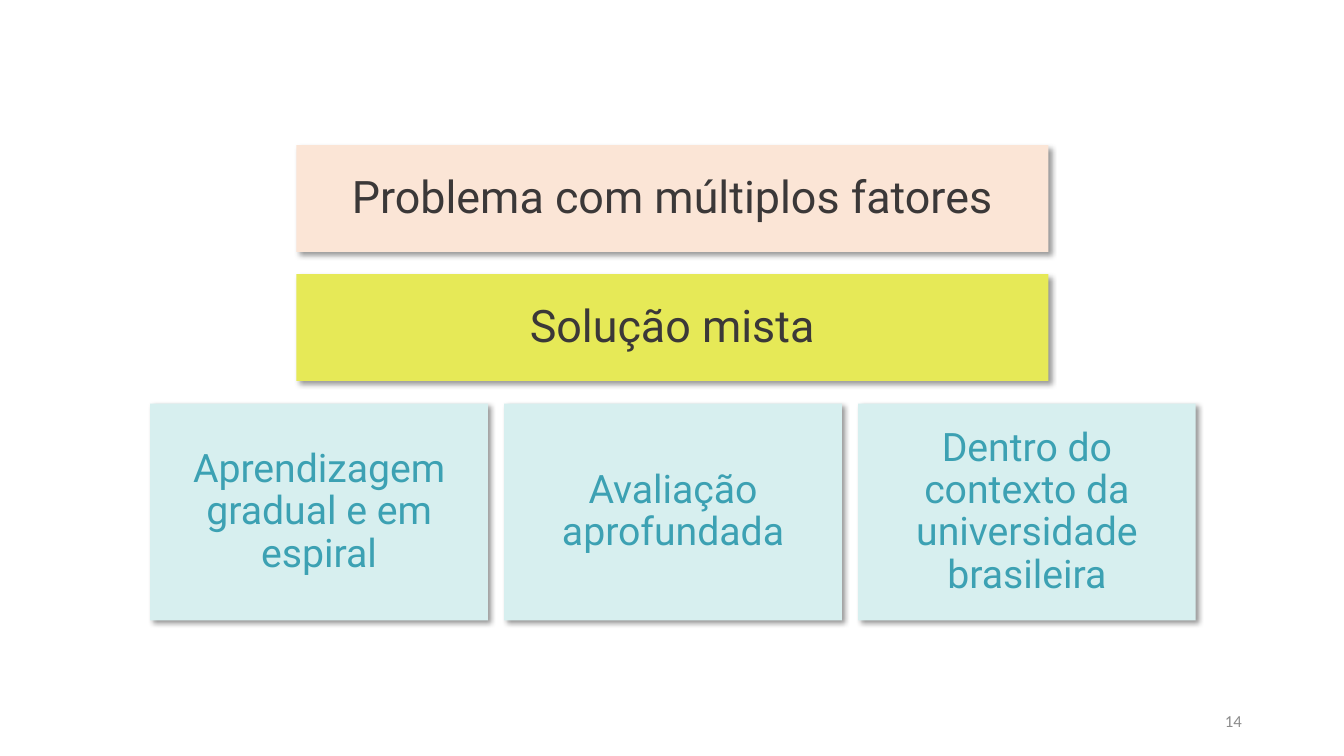
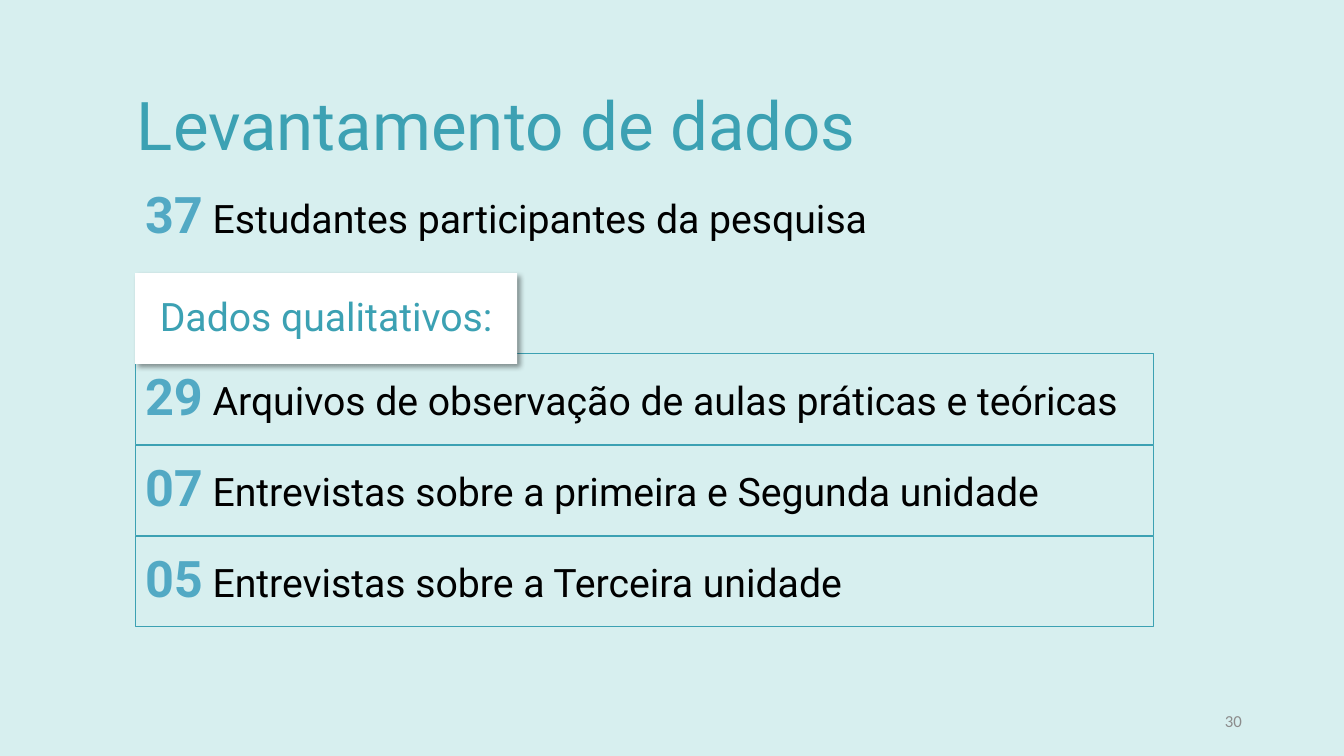
import pptx
import pptx.util
import pptx.dml.color
import pptx.enum.shapes
import pptx.enum.text
import pptx.oxml
import pptx.oxml.ns

TEAL = "3CA1B3"
BLUE = "52A9C4"
MINT = "D7EFEF"
PEACH = "FBE5D6"
LIME = "E6E957"
WHITE = "FFFFFF"
BLACK = "000000"
DARK = "3B3838"
GREY = "8C8C8C"
FONT = "Roboto"
NUMBER_FONT = "Calibri"

SLIDE_W = pptx.util.Inches(13.33)
SLIDE_H = pptx.util.Inches(7.5)
ALIGN = pptx.enum.text.PP_ALIGN

SHADOW = (
    f'<a:effectLst {pptx.oxml.ns.nsdecls("a")}>'
    '<a:outerShdw blurRad="50800" dist="38100" dir="2700000" algn="tl" rotWithShape="0">'
    f'<a:srgbClr val="{BLACK}"><a:alpha val="40000"/></a:srgbClr>'
    '</a:outerShdw></a:effectLst>'
)


def rgb(color):
    return pptx.dml.color.RGBColor.from_string(color)


def place(left, top, width, height):
    """Turn percentages of the slide into lengths."""
    return (int(SLIDE_W * left / 100), int(SLIDE_H * top / 100),
            int(SLIDE_W * width / 100), int(SLIDE_H * height / 100))


def add_slide(prs, background, number):
    s = prs.slides.add_slide(prs.slide_layouts[6])
    s.background.fill.solid()
    s.background.fill.fore_color.rgb = rgb(background)
    add_text(s, (70.65, 92.67, 22.5, 5.33), number, 12, GREY,
             ALIGN.RIGHT, NUMBER_FONT, 1)
    return s


def style_run(r, size, color, font=FONT, bold=False):
    r.font.name = font
    r.font.size = pptx.util.Pt(size)
    r.font.color.rgb = rgb(color)
    r.font.bold = bold


def start_paragraph(sp, align, spacing=0.9):
    tf = sp.text_frame
    tf.word_wrap = True
    tf.vertical_anchor = pptx.enum.text.MSO_ANCHOR.MIDDLE
    p = tf.paragraphs[0]
    p.alignment = align
    p.line_spacing = spacing
    return p


def write(sp, text, size, color, align, font=FONT, spacing=0.9):
    p = start_paragraph(sp, align, spacing)
    p.text = text
    style_run(p.runs[0], size, color, font)


def add_text(s, box, text, size, color, align=ALIGN.LEFT, font=FONT, spacing=0.9):
    write(s.shapes.add_textbox(*place(*box)), text, size, color, align, font, spacing)


def add_rect(s, box):
    sp = s.shapes.add_shape(pptx.enum.shapes.MSO_SHAPE.RECTANGLE, *place(*box))
    sp.shadow.inherit = False
    return sp


def add_card(s, box, text, size, color, fill):
    sp = add_rect(s, box)
    sp.fill.solid()
    sp.fill.fore_color.rgb = rgb(fill)
    sp.line.fill.background()
    props = sp.element.spPr
    props.replace(props.find(pptx.oxml.ns.qn("a:effectLst")),
                  pptx.oxml.parse_xml(SHADOW))
    write(sp, text, size, color, ALIGN.CENTER)


def add_count(s, box, count, text, framed=True):
    if framed:
        sp = add_rect(s, box)
        sp.fill.background()
        sp.line.color.rgb = rgb(TEAL)
        sp.line.width = pptx.util.Pt(0.75)
    else:
        sp = s.shapes.add_textbox(*place(*box))
    p = start_paragraph(sp, ALIGN.LEFT)
    for part, size, color, bold in ((count, 36, BLUE, True),
                                    (" " + text, 28, BLACK, False)):
        r = p.add_run()
        r.text = part
        style_run(r, size, color, bold=bold)


def build_solution(prs):
    s = add_slide(prs, WHITE, "14")
    bars = [("Problema com múltiplos fatores", PEACH), ("Solução mista", LIME)]
    for row, (text, fill) in enumerate(bars):
        add_card(s, (22.05, 19.2 + 17.07 * row, 55.95, 14.13), text, 32, DARK, fill)
    pillars = ["Aprendizagem gradual e em espiral", "Avaliação aprofundada",
               "Dentro do contexto da universidade brasileira"]
    for col, text in enumerate(pillars):
        add_card(s, (11.18 + 26.33 * col, 53.4, 25.13, 28.67), text, 28, TEAL, MINT)


def build_survey(prs):
    s = add_slide(prs, MINT, "30")
    left, width, height = 10.05, 75.8, 12
    add_text(s, (9.45, 7.6, 68.49, 18.8), "Levantamento de dados", 48, TEAL)
    add_count(s, (left, 22.67, width, height), "37",
              "Estudantes participantes da pesquisa", framed=False)
    counts = [("29", "Arquivos de observação de aulas práticas e teóricas"),
              ("07", "Entrevistas sobre a primeira e Segunda unidade"),
              ("05", "Entrevistas sobre a Terceira unidade")]
    for row, (count, text) in enumerate(counts):
        add_count(s, (left, 46.8 + 12.07 * row, width, height), count, text)
    add_card(s, (left, 36.13, 28.43, height), "Dados qualitativos:", 28, TEAL, WHITE)


def main():
    prs = pptx.Presentation()
    prs.slide_width = SLIDE_W
    prs.slide_height = SLIDE_H
    build_solution(prs)
    build_survey(prs)
    prs.save("out.pptx")


if __name__ == "__main__":
    main()
